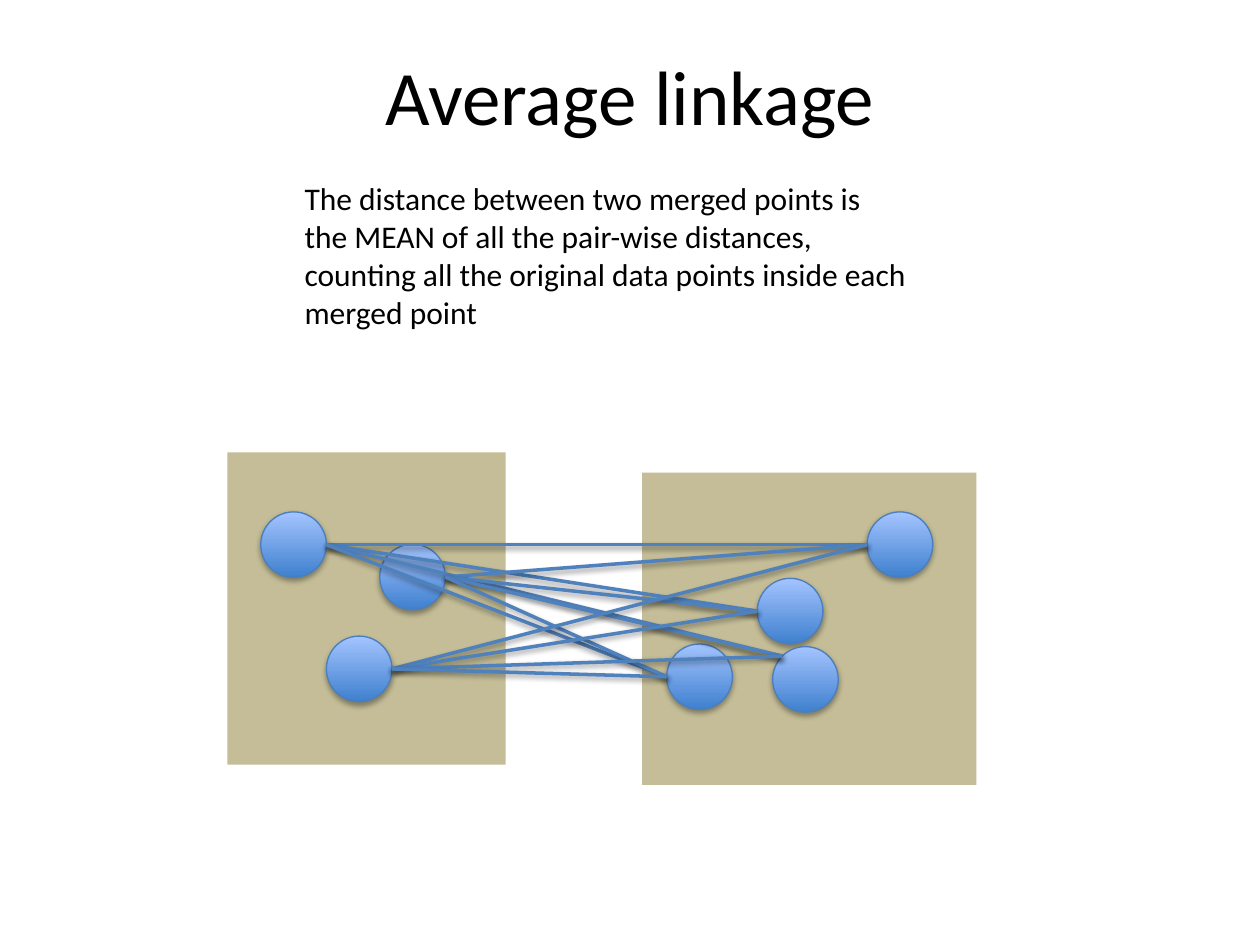
from dataclasses import dataclass
from itertools import product
from math import sqrt

from pptx import Presentation
from pptx.dml.color import RGBColor
from pptx.enum.shapes import MSO_CONNECTOR, MSO_SHAPE
from pptx.enum.text import MSO_ANCHOR, MSO_AUTO_SIZE, PP_ALIGN
from pptx.oxml import parse_xml
from pptx.oxml.ns import nsdecls
from pptx.slide import Slide
from pptx.util import Pt

RECTANGLE, OVAL = MSO_SHAPE.RECTANGLE, MSO_SHAPE.OVAL
STRAIGHT = MSO_CONNECTOR.STRAIGHT
TOP, MIDDLE = MSO_ANCHOR.TOP, MSO_ANCHOR.MIDDLE
LEFT, CENTER = PP_ALIGN.LEFT, PP_ALIGN.CENTER
NO_FIT, GROW = MSO_AUTO_SIZE.NONE, MSO_AUTO_SIZE.SHAPE_TO_FIT_TEXT

BLACK = RGBColor(0x00, 0x00, 0x00)
TAN = RGBColor(0xC4, 0xBD, 0x97)
DARK_BLUE = RGBColor(0x3F, 0x80, 0xCE)
LIGHT_BLUE = RGBColor(0xA4, 0xC4, 0xFF)
OUTLINE_BLUE = RGBColor(0x4B, 0x7E, 0xBC)
LINK_BLUE = RGBColor(0x4F, 0x81, 0xBD)

DIAMETER = 37.5
CORNER_INSET = DIAMETER / 2 * (1 - 1 / sqrt(2))


@dataclass(frozen=True)
class Box:
    left: float
    top: float
    width: float
    height: float

    def lengths(self) -> list[Pt]:
        return [Pt(value) for value in (self.left, self.top, self.width, self.height)]


@dataclass(frozen=True)
class TextBlock:
    text: str
    box: Box
    size: float
    alignment: PP_ALIGN
    frame_format: dict


@dataclass(frozen=True)
class DataPoint:
    left: float
    top: float
    link_at_corner: bool = False

    def right_side(self) -> tuple[float, float]:
        return self.left + DIAMETER, self.top + DIAMETER / 2

    def left_side(self) -> tuple[float, float]:
        if self.link_at_corner:
            return self.left + CORNER_INSET, self.top + CORNER_INSET
        return self.left, self.top + DIAMETER / 2


CLUSTERS = [Box(367, 270, 191, 178.5), Box(130, 258.5, 159, 178.5)]
TEXT_BLOCKS = [
    TextBlock("Average linkage", Box(36, 9, 648, 90), 44, CENTER,
              {"word_wrap": True, "auto_size": NO_FIT, "vertical_anchor": MIDDLE}),
    TextBlock("The distance between two merged points is the MEAN of all the pair-wise "
              "distances, counting all the original data points inside each merged point",
              Box(167, 99, 360, 94.5), 18, LEFT,
              {"word_wrap": True, "auto_size": GROW, "vertical_anchor": TOP}),
]
LEFT_POINTS = [DataPoint(149, 292.5), DataPoint(217, 311), DataPoint(186.5, 363.5)]
RIGHT_POINTS = [DataPoint(495.5, 292.5), DataPoint(432.75, 330.5),
                DataPoint(441.5, 369.5, True), DataPoint(381, 368)]


def apply_format(target: object, values: dict) -> None:
    for name, value in values.items():
        setattr(target, name, value)


def add_shadow(properties, distance: float, opacity: int) -> None:
    properties.append(parse_xml(
        f'<a:effectLst {nsdecls("a")}>'
        f'<a:outerShdw blurRad="{Pt(3.15)}" dist="{Pt(distance)}" dir="5400000" rotWithShape="0">'
        f'<a:srgbClr val="{BLACK}"><a:alpha val="{opacity * 1000}"/></a:srgbClr>'
        '</a:outerShdw></a:effectLst>'))


def draw_cluster(slide: Slide, box: Box) -> None:
    shape = slide.shapes.add_shape(RECTANGLE, *box.lengths())
    shape.shadow.inherit = False
    shape.fill.solid()
    shape.fill.fore_color.rgb = TAN
    shape.line.fill.background()


def draw_text(slide: Slide, block: TextBlock) -> None:
    frame = slide.shapes.add_textbox(*block.box.lengths()).text_frame
    apply_format(frame, block.frame_format)
    paragraph = frame.paragraphs[0]
    paragraph.text = block.text
    paragraph.alignment = block.alignment
    apply_format(paragraph.font, {"name": "Calibri", "size": Pt(block.size)})
    paragraph.font.color.rgb = BLACK


def draw_point(slide: Slide, point: DataPoint) -> None:
    box = Box(point.left, point.top, DIAMETER, DIAMETER)
    shape = slide.shapes.add_shape(OVAL, *box.lengths())
    shape.fill.gradient()
    shape.fill.gradient_angle = 90
    for stop, color in zip(shape.fill.gradient_stops, (DARK_BLUE, LIGHT_BLUE)):
        stop.color.rgb = color
    shape.line.color.rgb = OUTLINE_BLUE
    shape.line.width = Pt(0.75)
    add_shadow(shape.element.spPr, 1.8, 35)


def draw_link(slide: Slide, start: DataPoint, end: DataPoint) -> None:
    ends = [Pt(value) for value in start.right_side() + end.left_side()]
    connector = slide.shapes.add_connector(STRAIGHT, *ends)
    connector.line.color.rgb = LINK_BLUE
    connector.line.width = Pt(2)
    add_shadow(connector.element.spPr, 1.6, 38)


def main() -> None:
    presentation = Presentation()
    apply_format(presentation, {"slide_width": Pt(720), "slide_height": Pt(540)})
    slide = presentation.slides.add_slide(presentation.slide_layouts[6])
    for box in CLUSTERS:
        draw_cluster(slide, box)
    for block in TEXT_BLOCKS:
        draw_text(slide, block)
    for point in LEFT_POINTS + RIGHT_POINTS:
        draw_point(slide, point)
    for start, end in product(LEFT_POINTS, RIGHT_POINTS):
        draw_link(slide, start, end)
    presentation.save("out.pptx")


if __name__ == "__main__":
    main()
